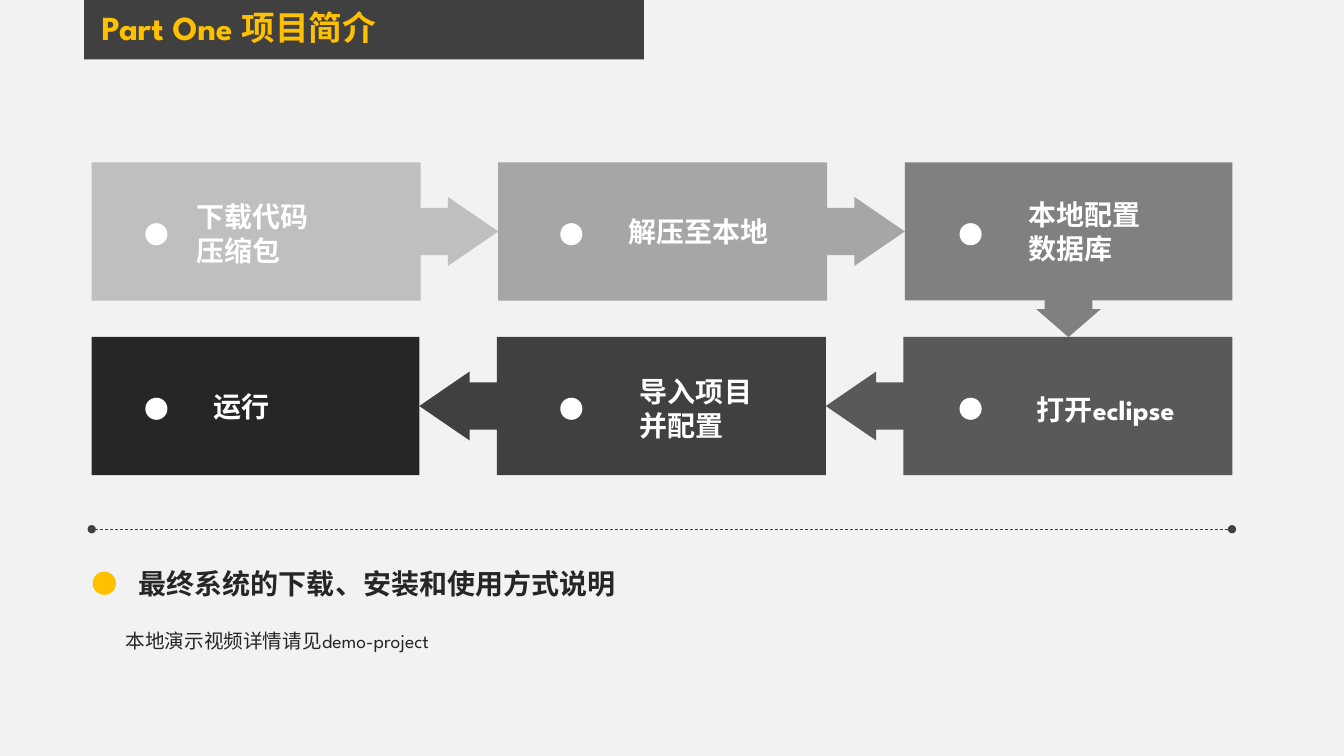
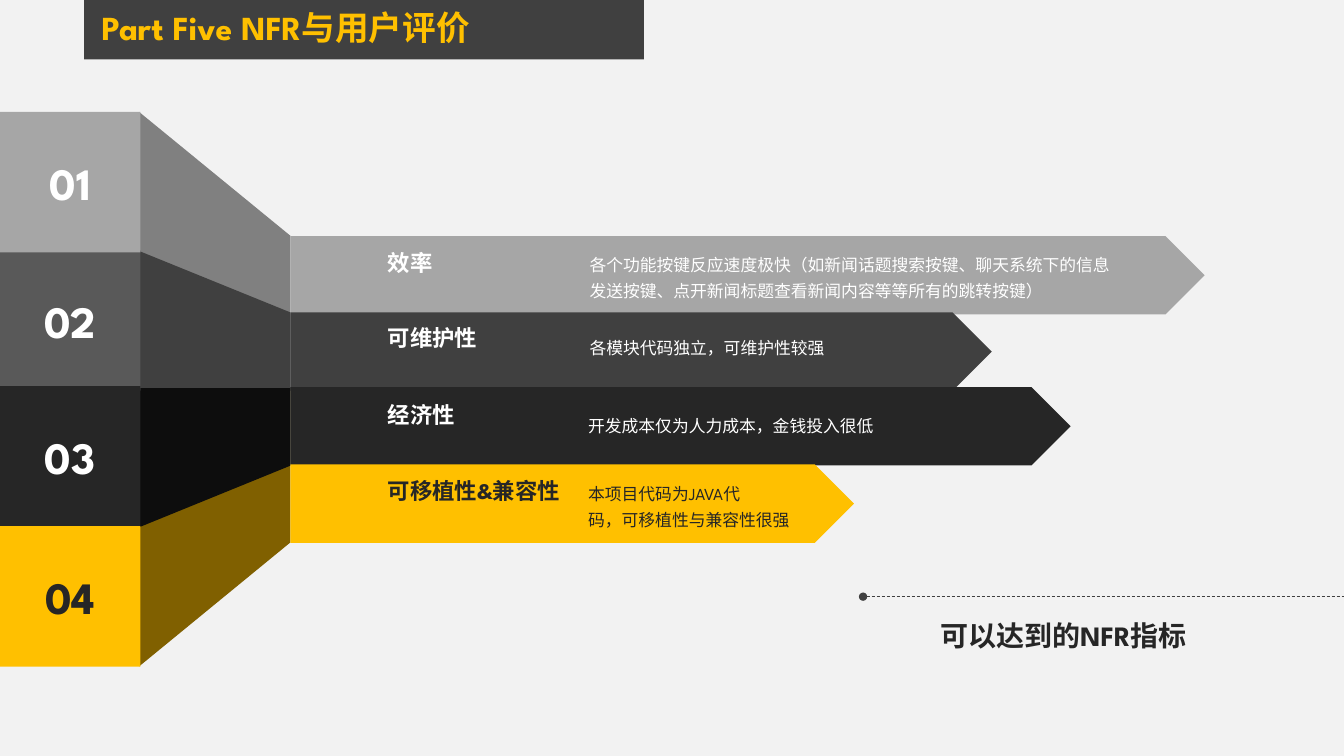
"""Build two slides: the installation flow and the quality indicators."""
from dataclasses import dataclass
from typing import NamedTuple, Optional

from lxml.etree import SubElement
from pptx import Presentation
from pptx.dml.color import RGBColor
from pptx.enum.dml import MSO_LINE
from pptx.enum.lang import MSO_LANGUAGE_ID as Language
from pptx.enum.shapes import MSO_CONNECTOR, MSO_SHAPE as Preset
from pptx.enum.text import MSO_ANCHOR as Anchor, PP_ALIGN as Align
from pptx.oxml.ns import qn
from pptx.shapes.autoshape import Shape
from pptx.slide import Slide
from pptx.util import Pt

PAPER = RGBColor(0xF2, 0xF2, 0xF2)
WHITE = RGBColor(0xFF, 0xFF, 0xFF)
SILVER = RGBColor(0xBF, 0xBF, 0xBF)
LIGHT = RGBColor(0xA6, 0xA6, 0xA6)
MIDDLE = RGBColor(0x80, 0x80, 0x80)
DIM = RGBColor(0x59, 0x59, 0x59)
DARK = RGBColor(0x40, 0x40, 0x40)
INK = RGBColor(0x26, 0x26, 0x26)
BLACK = RGBColor(0x0D, 0x0D, 0x0D)
GOLD = RGBColor(0xFF, 0xC0, 0x00)
BRONZE = RGBColor(0x80, 0x60, 0x00)

FONT = "League Spartan"
SLIDE_WIDTH, SLIDE_HEIGHT = 960, 540
MARGIN = 65.5

STEP_WIDTH, STEP_HEIGHT, STEP_PITCH = 234, 98.7, 290.4
UPPER_ROW, LOWER_ROW = 116, 240.7
CALLOUT_ADJUST = (0.342, 0.25, 0.365, 0.809)
DOT_LEFTS = (103.8, 400.2, 685.4)

BLOCK_SIDE = 100.4
FAN_LEFT, FAN_RIGHT = 99.4, 207.5
PLATE_HEIGHT = 56


@dataclass(frozen=True)
class Step:
    label: str
    column: int
    top: float
    color: RGBColor
    label_left: float
    label_drop: float
    label_width: float = 98
    align: Align = Align.LEFT


@dataclass(frozen=True)
class Quality:
    number: str
    name: str
    detail: str
    color: RGBColor
    block_top: float
    plate_top: float
    plate_width: float
    name_top: float
    detail_top: float
    detail_left: float
    text_color: RGBColor = WHITE


class Fan(NamedTuple):
    block_edge: float
    plate_edge: float
    meeting: float
    color: RGBColor


STEPS = (
    Step("下载代码\n压缩包", 0, UPPER_ROW, SILVER, 133.2, 23),
    Step("解压至本地", 1, UPPER_ROW, LIGHT, 442, 33.8, 118),
    Step("本地配置\n数据库", 2, UPPER_ROW, MIDDLE, 727.3, 21.5),
    Step("运行", 0, LOWER_ROW, INK, 145.4, 33.8),
    Step("导入项目\n并配置", 1, LOWER_ROW, DARK, 450, 23.5),
    Step("打开eclipse", 2, LOWER_ROW, DIM, 727.2, 35.8, 125.3, Align.CENTER),
)

QUALITIES = (
    Quality("01", "效率",
            "各个功能按键反应速度极快（如新闻话题搜索按键、聊天系统下的信息\n"
            "发送按键、点开新闻标题查看新闻内容等等所有的跳转按键）",
            LIGHT, 80, 168.6, 653, 174.2, 174.2, 414),
    Quality("02", "可维护性", "各模块代码独立，可维护性较强",
            DIM, 178.6, 223.2, 501, 228.2, 233.3, 414),
    Quality("03", "经济性", "开发成本仅为人力成本，金钱投入很低",
            INK, 275.8, 276.5, 557.3, 283, 289.4, 413),
    Quality("04", "可移植性&兼容性", "本项目代码为JAVA代\n码，可移植性与兼容性很强",
            GOLD, 375.8, 331.8, 402.5, 337, 337.7, 413, INK),
)
PLATE_COLORS = (LIGHT, DARK, INK, GOLD)

FANS = (
    Fan(80, 168.5, 278.6, MIDDLE),
    Fan(179.3, 223.2, 278.6, DARK),
    Fan(476, 387.4, 277.2, BRONZE),
    Fan(376.6, 332.6, 277.2, BLACK),
)


def paint(shape: Shape, color: RGBColor) -> Shape:
    """Give a shape a flat fill with no outline or shadow."""
    shape.shadow.inherit = False
    shape.fill.solid()
    shape.fill.fore_color.rgb = color
    shape.line.fill.background()
    return shape


def add_preset(slide: Slide, preset: Preset, left: float, top: float, width: float,
               height: float, color: RGBColor, adjust: tuple[float, ...] = ()) -> Shape:
    """Draw a flat preset shape."""
    shape = slide.shapes.add_shape(preset, Pt(left), Pt(top), Pt(width), Pt(height))
    for index, value in enumerate(adjust):
        shape.adjustments[index] = value
    return paint(shape, color)


def write(shape: Shape, text: str, *, size: float, color: RGBColor, bold: bool = False,
          align: Align = Align.LEFT, spacing: Optional[float] = None,
          anchor: Anchor = Anchor.TOP) -> None:
    """Write one paragraph for each line of text."""
    frame = shape.text_frame
    frame.word_wrap = True
    frame.vertical_anchor = anchor
    for index, line in enumerate(text.split("\n")):
        paragraph = frame.add_paragraph() if index else frame.paragraphs[0]
        paragraph.alignment = align
        if spacing:
            paragraph.line_spacing = spacing
        run = paragraph.add_run()
        run.text = line
        font = run.font
        font.name, font.size, font.bold = FONT, Pt(size), bold
        font.color.rgb = color
        font.language_id = Language.SIMPLIFIED_CHINESE


def add_label(slide: Slide, left: float, top: float, width: float, height: float) -> Shape:
    """Add an empty text box."""
    return slide.shapes.add_textbox(Pt(left), Pt(top), Pt(width), Pt(height))


def add_rule(slide: Slide, left: float, right: float, y: float, ends: tuple[str, ...]) -> None:
    """Draw a dashed horizontal rule with round ends."""
    rule = slide.shapes.add_connector(MSO_CONNECTOR.STRAIGHT, Pt(left), Pt(y), Pt(right), Pt(y))
    rule.line.color.rgb = DARK
    rule.line.width = Pt(0.5)
    rule.line.dash_style = MSO_LINE.DASH
    outline = rule.line._get_or_add_ln()
    for end in ends:
        SubElement(outline, qn(f"a:{end}"), type="oval")
    SubElement(rule._element.spPr, qn("a:effectLst"))


def add_titled_slide(deck: Presentation, title: str) -> Slide:
    """Add a slide with the shared background and title band."""
    slide = deck.slides.add_slide(deck.slide_layouts[6])
    slide.background.fill.solid()
    slide.background.fill.fore_color.rgb = PAPER
    add_preset(slide, Preset.RECTANGLE, 60, 0, 400, 42.5, DARK)
    write(add_label(slide, MARGIN, 4.3, 380, 36), title,
          size=24, color=GOLD, bold=True, spacing=0.9)
    return slide


def add_step(slide: Slide, step: Step) -> None:
    """Draw one step of the flow with its dot and label."""
    forward = step.top == UPPER_ROW
    last_in_row = step.column == (2 if forward else 0)
    left = MARGIN + step.column * STEP_PITCH
    if last_in_row:
        add_preset(slide, Preset.RECTANGLE, left, step.top, STEP_WIDTH, STEP_HEIGHT, step.color)
    else:
        if not forward:
            left -= STEP_PITCH - STEP_WIDTH
        preset = Preset.RIGHT_ARROW_CALLOUT if forward else Preset.LEFT_ARROW_CALLOUT
        add_preset(slide, preset, left, step.top, STEP_PITCH, STEP_HEIGHT,
                   step.color, CALLOUT_ADJUST)
    add_preset(slide, Preset.OVAL, DOT_LEFTS[step.column], step.top + 43.4, 15.8, 15.8, WHITE)
    height = 55.4 if "\n" in step.label else 31.7
    write(add_label(slide, step.label_left, step.top + step.label_drop, step.label_width, height),
          step.label, size=20, color=WHITE, bold=True, align=step.align)


def add_fan(slide: Slide, fan: Fan) -> None:
    """Draw the slanted face between a number block and its plate."""
    builder = slide.shapes.build_freeform(Pt(FAN_RIGHT), Pt(fan.plate_edge), scale=1.0)
    corners = ((FAN_LEFT, fan.block_edge), (FAN_LEFT, fan.meeting), (FAN_RIGHT, fan.meeting))
    builder.add_line_segments([(Pt(x), Pt(y)) for x, y in corners], close=True)
    paint(builder.convert_to_shape(), fan.color)


def add_block(slide: Slide, quality: Quality) -> None:
    """Draw the number block of a quality."""
    block = add_preset(slide, Preset.RECTANGLE, 0, quality.block_top,
                       BLOCK_SIDE, BLOCK_SIDE, quality.color)
    write(block, quality.number, size=32, color=quality.text_color, bold=True,
          align=Align.CENTER, anchor=Anchor.MIDDLE)


def add_plate(slide: Slide, quality: Quality, color: RGBColor) -> None:
    """Draw the arrow plate of a quality with its name and detail."""
    add_preset(slide, Preset.PENTAGON, FAN_RIGHT, quality.plate_top,
               quality.plate_width, PLATE_HEIGHT, color)
    write(add_label(slide, 270, quality.name_top, 144, 26.6), quality.name,
          size=16, color=quality.text_color, bold=True)
    write(add_label(slide, quality.detail_left, quality.detail_top, 530, 45), quality.detail,
          size=12, color=quality.text_color, align=Align.JUSTIFY, spacing=1.3)


def build_flow(deck: Presentation) -> None:
    """Build the slide with the installation flow."""
    slide = add_titled_slide(deck, "Part One 项目简介")
    add_preset(slide, Preset.DOWN_ARROW, 740.2, 214.2, 46, 26.6, MIDDLE, (0.742, 0.749))
    add_rule(slide, MARGIN, 880, 378, ("headEnd", "tailEnd"))
    for step in STEPS:
        add_step(slide, step)
    write(add_label(slide, 92, 401, 370, 31.7), "最终系统的下载、安装和使用方式说明",
          size=20, color=INK, bold=True)
    add_preset(slide, Preset.OVAL, 66.2, 408.3, 16.6, 16.6, GOLD)
    write(add_label(slide, 82.6, 440.6, 789, 29.5), "本地演示视频详情请见demo-project",
          size=14, color=INK, spacing=1.3)


def build_qualities(deck: Presentation) -> None:
    """Build the slide with the quality indicators."""
    slide = add_titled_slide(deck, "Part Five NFR与用户评价")
    for fan in FANS:
        add_fan(slide, fan)
    for quality in QUALITIES[1:] + QUALITIES[:1]:
        add_block(slide, quality)
    for quality, color in zip(QUALITIES, PLATE_COLORS):
        add_plate(slide, quality, color)
    add_rule(slide, 616.5, SLIDE_WIDTH, 426.2, ("headEnd",))
    write(add_label(slide, 664.5, 438.5, 195.8, 55.4), "可以达到的NFR指标",
          size=20, color=INK, bold=True)


def main() -> None:
    """Build and save the deck."""
    deck = Presentation()
    deck.slide_width, deck.slide_height = Pt(SLIDE_WIDTH), Pt(SLIDE_HEIGHT)
    build_flow(deck)
    build_qualities(deck)
    deck.save("out.pptx")


if __name__ == "__main__":
    main()
